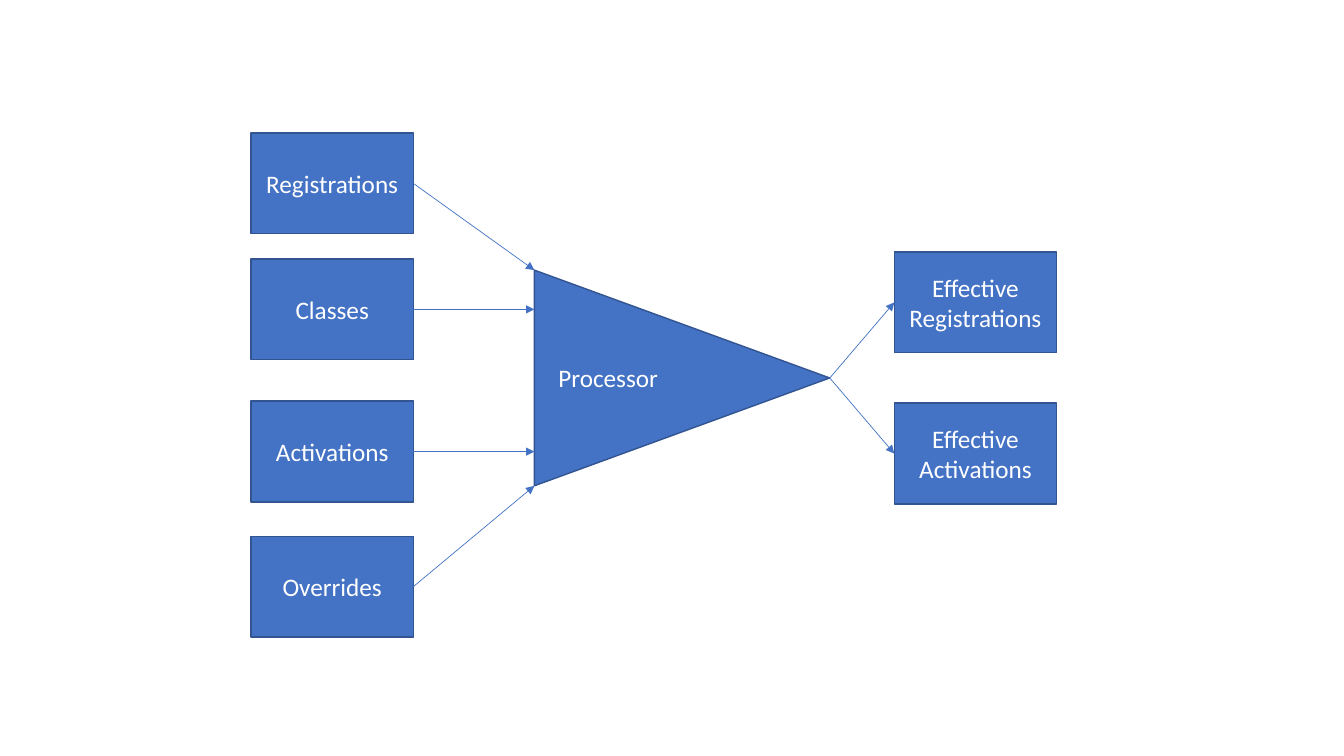
import dataclasses

import lxml.etree
import pptx
import pptx.dml.color
import pptx.enum.shapes
import pptx.enum.text
import pptx.oxml.ns
import pptx.util

Inches = pptx.util.Inches
RGB = pptx.dml.color.RGBColor.from_string


@dataclasses.dataclass(frozen=True)
class Theme:
    """Colours, font and sizes of the diagram."""
    fill: str = "4472C4"
    outline: str = "325491"
    text: str = "FFFFFF"
    font: str = "Calibri"
    text_size: float = 18
    outline_width: float = 1
    arrow_width: float = 0.5


THEME = Theme()
BOX_WIDTH, BOX_HEIGHT = 1.61, 1
INPUT_LEFT, OUTPUT_LEFT = 2.49, 8.87
BASE_X, TIP_X = 5.3, 8.23
BASE_TOP, TIP_Y, BASE_BOTTOM = 2.68, 3.75, 4.82
LEFT_SITE, RIGHT_SITE = 1, 3
INPUTS = [
    ("Registrations", 1.32, BASE_TOP),
    ("Classes", 2.57, 3.07),
    ("Activations", 3.98, 4.48),
    ("Overrides", 5.32, BASE_BOTTOM),
]
OUTPUTS = [("Effective Registrations", 2.5), ("Effective Activations", 4)]


def paint(shape):
    """Give a shape the diagram's fill and outline."""
    shape.shadow.inherit = False
    shape.fill.solid()
    shape.fill.fore_color.rgb = RGB(THEME.fill)
    shape.line.color.rgb = RGB(THEME.outline)
    shape.line.width = pptx.util.Pt(THEME.outline_width)


def write(shape, text, align):
    """Write one run of label text in a shape."""
    para = shape.text_frame.paragraphs[0]
    para.alignment = align
    span = para.add_run()
    span.text = text
    span.font.name = THEME.font
    span.font.size = pptx.util.Pt(THEME.text_size)
    span.font.color.rgb = RGB(THEME.text)


def add_box(page, text, left, top):
    """Add a labelled rectangle."""
    box = page.shapes.add_shape(
        pptx.enum.shapes.MSO_SHAPE.RECTANGLE,
        Inches(left), Inches(top), Inches(BOX_WIDTH), Inches(BOX_HEIGHT))
    paint(box)
    box.text_frame.word_wrap = True
    box.text_frame.vertical_anchor = pptx.enum.text.MSO_ANCHOR.MIDDLE
    write(box, text, pptx.enum.text.PP_ALIGN.CENTER)
    return box


def add_processor(page):
    """Add the processor triangle and its label."""
    builder = page.shapes.build_freeform(
        Inches(BASE_X), Inches(BASE_BOTTOM))
    builder.add_line_segments(
        [(Inches(BASE_X), Inches(BASE_TOP)), (Inches(TIP_X), Inches(TIP_Y))],
        close=True)
    paint(builder.convert_to_shape())
    label = page.shapes.add_textbox(
        Inches(5.44), Inches(3.55), Inches(1.2), Inches(0.4))
    label.text_frame.word_wrap = False
    label.text_frame.auto_size = pptx.enum.text.MSO_AUTO_SIZE.SHAPE_TO_FIT_TEXT
    write(label, "Processor", pptx.enum.text.PP_ALIGN.LEFT)


def add_arrow(page, start, end):
    """Add a thin straight arrow from start to end."""
    arrow = page.shapes.add_connector(
        pptx.enum.shapes.MSO_CONNECTOR.STRAIGHT,
        *map(Inches, start), *map(Inches, end))
    arrow.line.color.rgb = RGB(THEME.fill)
    arrow.line.width = pptx.util.Pt(THEME.arrow_width)
    qn = pptx.oxml.ns.qn
    outline = arrow.line._get_or_add_ln()
    lxml.etree.SubElement(outline, qn("a:tailEnd"), type="triangle")
    lxml.etree.SubElement(outline.getparent(), qn("a:effectLst"))
    return arrow


def main():
    """Build the processor diagram and save it."""
    deck = pptx.Presentation()
    deck.slide_width, deck.slide_height = Inches(13.33), Inches(7.5)
    page = deck.slides.add_slide(deck.slide_layouts.get_by_name("Blank"))
    add_processor(page)
    for text, top, entry_y in INPUTS:
        box = add_box(page, text, INPUT_LEFT, top)
        start = (INPUT_LEFT + BOX_WIDTH, top + BOX_HEIGHT / 2)
        arrow = add_arrow(page, start, (BASE_X, entry_y))
        arrow.begin_connect(box, RIGHT_SITE)
    for text, top in OUTPUTS:
        box = add_box(page, text, OUTPUT_LEFT, top)
        end = (OUTPUT_LEFT, top + BOX_HEIGHT / 2)
        arrow = add_arrow(page, (TIP_X, TIP_Y), end)
        arrow.end_connect(box, LEFT_SITE)
    deck.save("out.pptx")


main()
